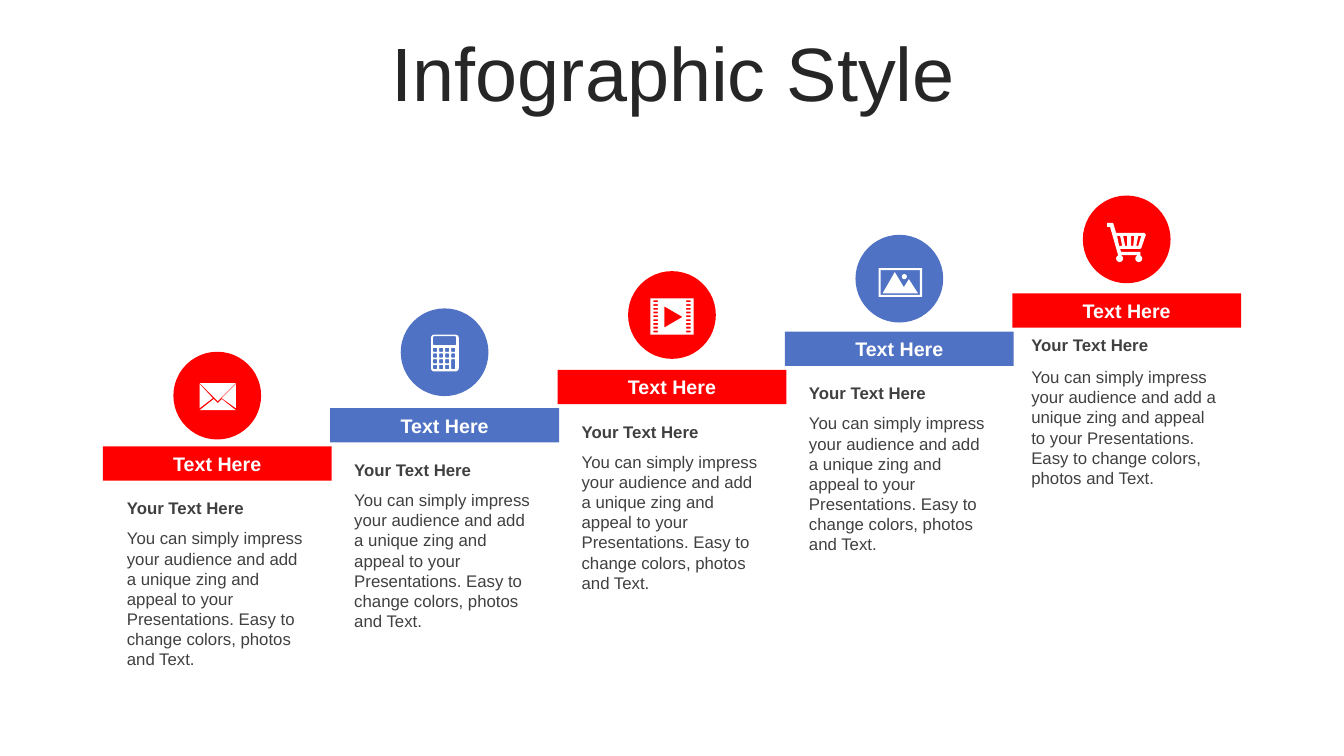
import math

import pptx
import pptx.dml.color
import pptx.enum.shapes
import pptx.enum.text
import pptx.util

Inches = pptx.util.Inches
RGBColor = pptx.dml.color.RGBColor
MSO_SHAPE = pptx.enum.shapes.MSO_SHAPE
PP_ALIGN = pptx.enum.text.PP_ALIGN
MSO_ANCHOR = pptx.enum.text.MSO_ANCHOR

RED = RGBColor(0xFF, 0x00, 0x00)
BLUE = RGBColor(0x50, 0x72, 0xC4)
WHITE = RGBColor(0xFF, 0xFF, 0xFF)
GREY = RGBColor(0x40, 0x40, 0x40)
INK = RGBColor(0x26, 0x26, 0x26)

# The stairs: each step is one column to the right and one rise up
COLUMN = 2.255
RISE = 0.38
BAR_LEFT, BAR_TOP, BAR_WIDTH, BAR_HEIGHT = 1.02, 4.43, 2.27, 0.34
BADGE_LEFT, BADGE_SIZE = 1.72, 0.87
BADGE_TOPS = [3.49, 3.06, 2.69, 2.33, 1.94]
DESCRIPTION = ("You can simply impress your audience and add a unique zing and appeal "
               "to your Presentations. Easy to change colors, photos and Text.")


def rounded(x, y, width, height, radius=0):
    """Return the outline of a box; a radius of half the width gives a circle."""
    if not radius:
        return [(x, y), (x + width, y), (x + width, y + height), (x, y + height)]
    centres = [(x + width - radius, y + height - radius), (x + radius, y + height - radius),
               (x + radius, y + radius), (x + width - radius, y + radius)]
    return [(cx + radius * math.cos(math.radians(quarter * 90 + angle)),
             cy + radius * math.sin(math.radians(quarter * 90 + angle)))
            for quarter, (cx, cy) in enumerate(centres)
            for angle in (0, 30, 60, 90)]


def write(frame, text, size, color, bold=False, align=PP_ALIGN.LEFT, anchor=MSO_ANCHOR.TOP):
    frame.word_wrap = True
    frame.auto_size = pptx.enum.text.MSO_AUTO_SIZE.NONE
    frame.vertical_anchor = anchor
    frame.text = text
    paragraph = frame.paragraphs[0]
    paragraph.alignment = align
    paragraph.font.name = "Arial"
    paragraph.font.size = pptx.util.Pt(size)
    paragraph.font.bold = bold
    paragraph.font.color.rgb = color


# Icon outlines in hundredths of an inch from the badge's top left corner
envelope = [
    [(26, 31), (62, 31), (44, 49)],
    [(62, 32), (62, 56), (48, 46)],
    [(26, 32), (39, 46), (26, 56)],
    [(48, 47), (62, 58), (26, 58), (40, 47), (44, 51)],
]
calculator = [rounded(30, 26, 27.5, 36.5, 3), rounded(32, 27.5, 23, 9, 1.2)]
for key_column in range(4):
    for key_row in range(4):
        tall = key_column == 3 and key_row == 2
        if (key_column, key_row) != (3, 3):
            calculator.append(rounded(32 + 6 * key_column, 39 + 5.7 * key_row,
                                      4, 9.7 if tall else 4, 0.6))
film = [rounded(22, 27, 43, 36), [(36, 35), (36, 56), (54, 45.5)]]
film += [rounded(x, 29 + 3.75 * hole, 4.5, 1.8) for x in (25, 57.5) for hole in range(9)]
photo = [
    rounded(23, 33, 43, 28.5),
    rounded(25, 35, 39, 24.5),
    [(39, 37), (48, 52), (53, 44), (62, 58), (27, 58)],
    rounded(46, 39, 5, 5, 2.5),
]
cart = [
    [(24, 27), (30, 27), (33, 37), (61, 37), (62.5, 39), (58, 52), (57, 53),
     (37, 53), (38, 56), (57, 56), (57, 59), (35, 59), (27, 31), (24, 31)],
    [(34, 40), (36, 50), (39, 50), (37, 40)],
    [(40, 40), (42, 50), (44, 50), (44, 40)],
    [(48, 40), (48, 50), (50, 50), (51, 40)],
    [(55, 40), (53, 50), (55, 50), (58, 40)],
    rounded(33, 59, 7, 7, 3.5),
    rounded(52, 59, 7, 7, 3.5),
]

deck = pptx.Presentation()
deck.slide_width = Inches(13.33)
deck.slide_height = Inches(7.5)
slide = deck.slides.add_slide(deck.slide_layouts[5])

headline = slide.shapes.title
headline.left, headline.top = Inches(0.35), Inches(0.37)
headline.width, headline.height = Inches(12.66), Inches(0.79)
write(headline.text_frame, "Infographic Style", 54, INK,
      align=PP_ALIGN.CENTER, anchor=MSO_ANCHOR.MIDDLE)
headline.text_frame.paragraphs[0].line_spacing = 0.9
headline.text_frame.paragraphs[0].space_before = pptx.util.Pt(10)

for step, icon in enumerate([envelope, calculator, film, photo, cart]):
    color = BLUE if step % 2 else RED
    shift = COLUMN * step
    bar_top = BAR_TOP - RISE * step
    badge_left, badge_top = BADGE_LEFT + shift, BADGE_TOPS[step]

    bar = slide.shapes.add_shape(MSO_SHAPE.RECTANGLE, Inches(BAR_LEFT + shift), Inches(bar_top),
                                 Inches(BAR_WIDTH), Inches(BAR_HEIGHT))
    write(bar.text_frame, "Text Here", 14, WHITE, True, PP_ALIGN.CENTER, MSO_ANCHOR.MIDDLE)
    badge = slide.shapes.add_shape(MSO_SHAPE.OVAL, Inches(badge_left), Inches(badge_top),
                                   Inches(BADGE_SIZE), Inches(BADGE_SIZE))

    # Outlines are drawn in thousandths of an inch
    first, *others = [[(10 * x, 10 * y) for x, y in outline] for outline in icon]
    pen = slide.shapes.build_freeform(*first[0], scale=Inches(1) / 1000)
    pen.add_line_segments(first[1:])
    for outline in others:
        pen.move_to(*outline[0])
        pen.add_line_segments(outline[1:])
    symbol = pen.convert_to_shape(Inches(badge_left), Inches(badge_top))

    for part, fill in ((bar, color), (badge, color), (symbol, WHITE)):
        part.shadow.inherit = False
        part.fill.solid()
        part.fill.fore_color.rgb = fill
        part.line.fill.background()

    # The top step has wider text that sits closer to its bar
    if icon is cart:
        inset, width, heading_drop, body_drop, body_height = 0.09, 2.08, 0.36, 0.68, 1.31
    else:
        inset, width, heading_drop, body_drop, body_height = 0.14, 1.99, 0.46, 0.76, 1.51
    for text, drop, height, bold in (("Your Text Here", heading_drop, 0.3, True),
                                     (DESCRIPTION, body_drop, body_height, False)):
        box = slide.shapes.add_textbox(Inches(BAR_LEFT + inset + shift), Inches(bar_top + drop),
                                       Inches(width), Inches(height))
        write(box.text_frame, text, 12, GREY, bold)

deck.save("out.pptx")
